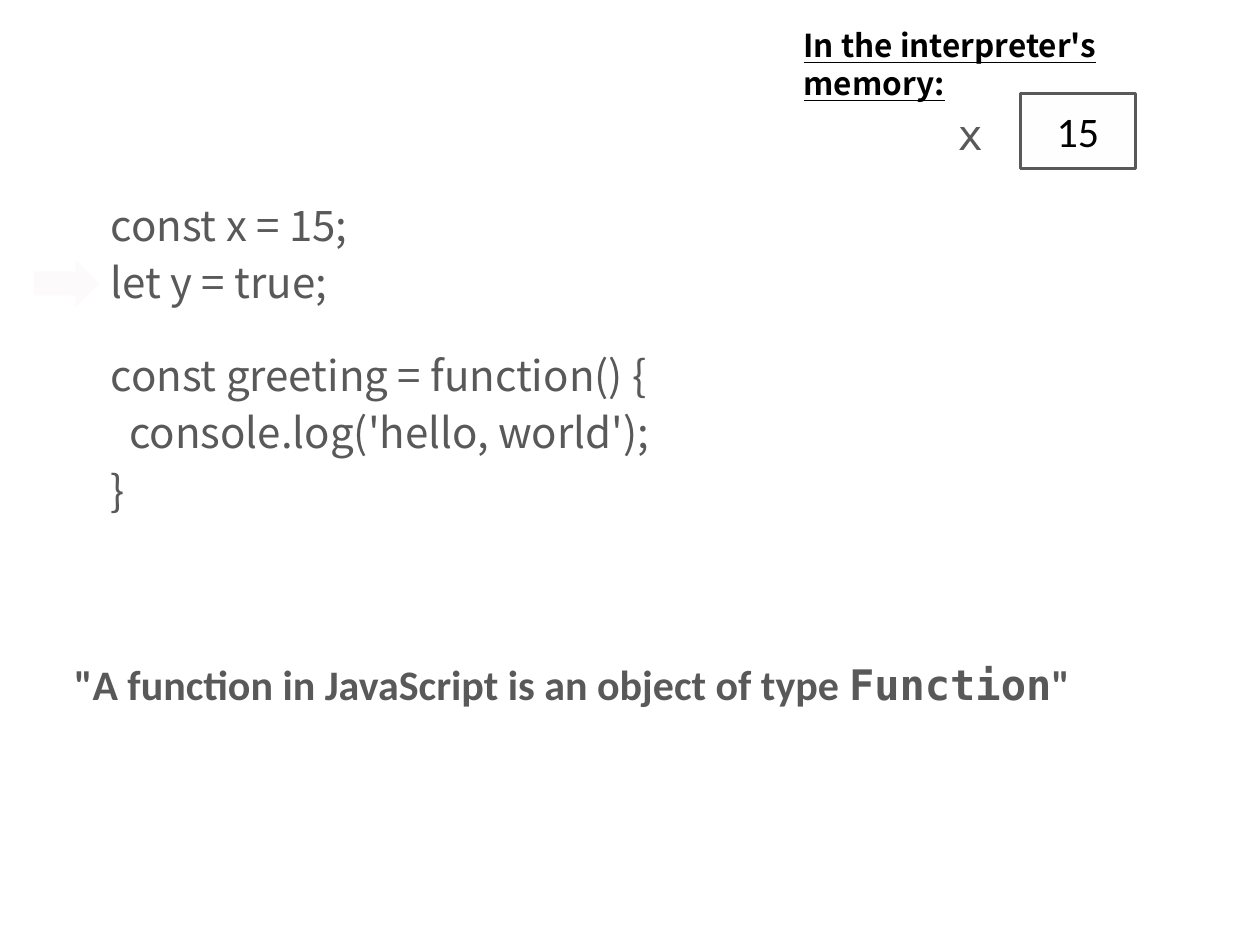
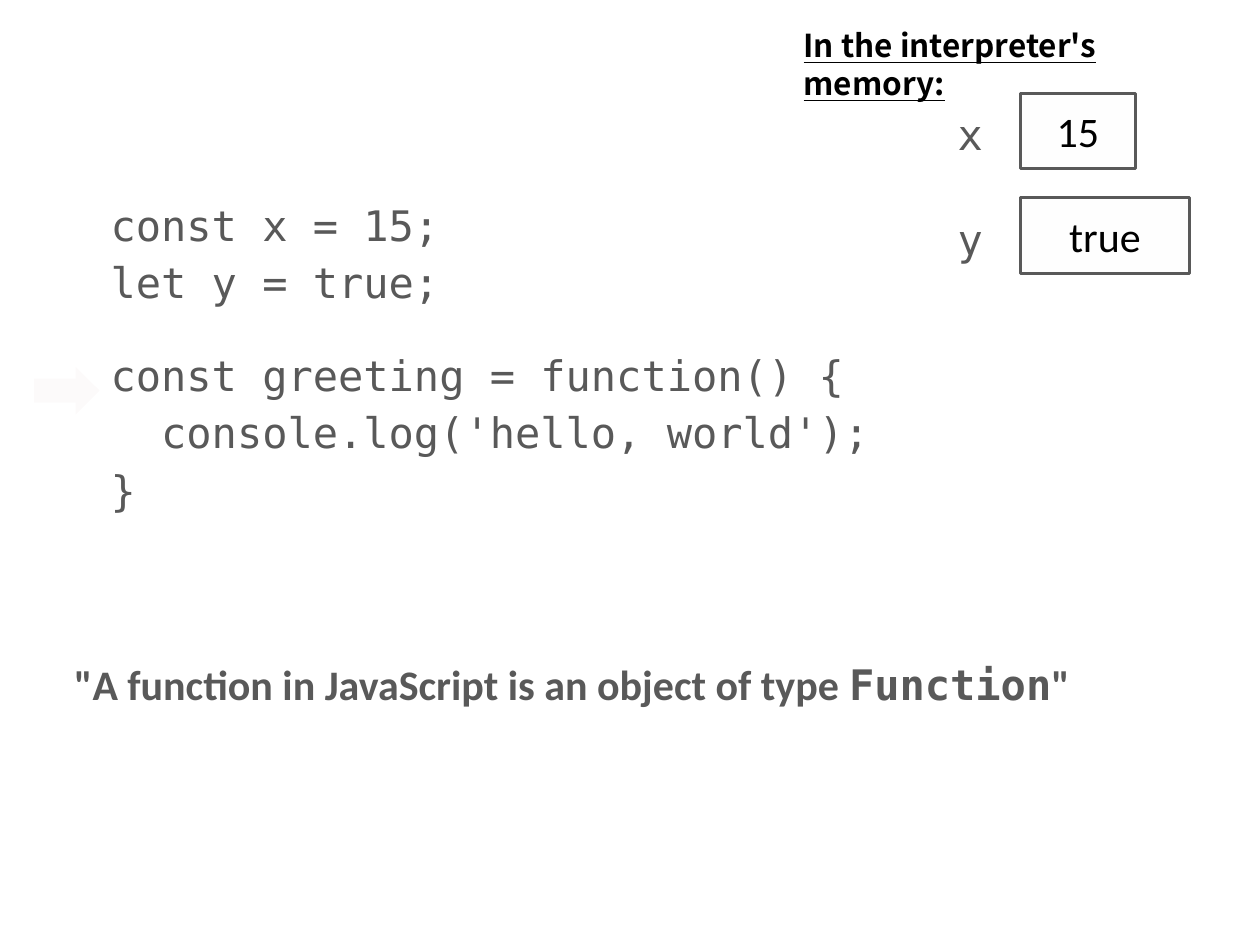
from dataclasses import dataclass

from lxml.etree import SubElement
from pptx import Presentation
from pptx.dml.color import RGBColor
from pptx.enum.shapes import MSO_SHAPE
from pptx.enum.text import MSO_ANCHOR, PP_ALIGN
from pptx.oxml.ns import qn
from pptx.shapes.autoshape import Shape
from pptx.slide import Slide
from pptx.text.text import _Paragraph
from pptx.util import Inches, Pt

GREY = RGBColor(0x59, 0x59, 0x59)
BLACK = RGBColor(0x00, 0x00, 0x00)
ARROW_RED = RGBColor(0x85, 0x20, 0x0C)
BOX_BLUE = RGBColor(0xCF, 0xE2, 0xF3)

BODY_FONT = "Calibri"
MONO_FONT = "DejaVu Sans Mono"
SANS_FONT = "Noto Sans CJK SC"

CODE_SPACING = 1.15
OPACITY_PERCENT = 2
MEMORY_TOP = 0.74
MEMORY_PITCH = 0.83

CODE_BLOCKS = (
    ("const x = 15;", "let y = true;"),
    ("const greeting = function() {", "  console.log('hello, world');", "}"),
)


@dataclass(frozen=True)
class Variable:
    name: str
    value: str
    box_width: float


@dataclass(frozen=True)
class Step:
    arrow_top: float
    code_font: str
    quote_width: float
    variables: tuple[Variable, ...]


X = Variable("x", "15", 0.91)
Y = Variable("y", "true", 1.34)
STEPS = (
    Step(2.06, SANS_FONT, 9.12, (X,)),
    Step(2.91, MONO_FONT, 9.27, (X, Y)),
)


def add_run(paragraph: _Paragraph, text: str, font: str, color: RGBColor = GREY,
            size: float = 24, bold: bool = False, underline: bool = False) -> None:
    run = paragraph.add_run()
    run.text = text
    run.font.name = font
    run.font.size = Pt(size)
    run.font.bold = bold
    run.font.underline = underline
    run.font.color.rgb = color


def prepare_frame(shape: Shape, anchor: MSO_ANCHOR) -> _Paragraph:
    frame = shape.text_frame
    frame.word_wrap = True
    frame.vertical_anchor = anchor
    frame.margin_left = frame.margin_right = Inches(0.1)
    frame.margin_top = frame.margin_bottom = Inches(0.1)
    return frame.paragraphs[0]


def add_text(slide: Slide, left: float, top: float, width: float, height: float,
             anchor: MSO_ANCHOR = MSO_ANCHOR.TOP) -> _Paragraph:
    box = slide.shapes.add_textbox(Inches(left), Inches(top), Inches(width), Inches(height))
    return prepare_frame(box, anchor)


def add_tinted_shape(slide: Slide, kind: MSO_SHAPE, left: float, top: float,
                     width: float, height: float, color: RGBColor) -> Shape:
    shape = slide.shapes.add_shape(kind, Inches(left), Inches(top), Inches(width), Inches(height))
    shape.shadow.inherit = False
    shape.fill.solid()
    shape.fill.fore_color.rgb = color
    tint = shape.fill._xPr.find(qn("a:solidFill"))[0]
    SubElement(tint, qn("a:alpha")).set("val", str(OPACITY_PERCENT * 1000))
    shape.line.fill.background()
    return shape


def add_quote(slide: Slide, width: float) -> None:
    quote = add_text(slide, 0.49, 5.07, width, 2.26)
    quote.line_spacing = CODE_SPACING
    for text, font in (
        ('"A function in JavaScript is an object of type ', BODY_FONT),
        ("Function", MONO_FONT),
        ('"', BODY_FONT),
    ):
        add_run(quote, text, font, bold=True)


def add_memory(slide: Slide, variables: tuple[Variable, ...]) -> None:
    heading = add_text(slide, 6.28, 0.11, 3.54, 0.94)
    add_run(heading, "In the interpreter's memory:", SANS_FONT, BLACK, 18,
            bold=True, underline=True)
    for index, variable in enumerate(variables):
        top = MEMORY_TOP + index * MEMORY_PITCH
        cell = add_tinted_shape(slide, MSO_SHAPE.RECTANGLE, 8.1, top,
                                variable.box_width, 0.6, BOX_BLUE)
        cell.line.color.rgb = GREY
        cell.line.width = Pt(1.5)
        value = prepare_frame(cell, MSO_ANCHOR.MIDDLE)
        value.alignment = PP_ALIGN.CENTER
        add_run(value, variable.value, BODY_FONT, BLACK)

        label = add_text(slide, 6.64, top - 0.12, 1.26, 0.83, MSO_ANCHOR.MIDDLE)
        label.alignment = PP_ALIGN.RIGHT
        label.line_spacing = CODE_SPACING
        add_run(label, variable.name, MONO_FONT)


def add_code(slide: Slide, font: str) -> None:
    line = add_text(slide, 0.78, 1.42, 8.43, 3)
    frame = slide.shapes[-1].text_frame
    for block_index, block in enumerate(CODE_BLOCKS):
        for line_index, text in enumerate(block):
            if block_index or line_index:
                line = frame.add_paragraph()
            if block_index and not line_index:
                line.space_before = Pt(19.5)
            line.line_spacing = CODE_SPACING
            add_run(line, text, font)


def add_step(deck: Presentation, step: Step) -> None:
    slide = deck.slides.add_slide(deck.slide_layouts[6])
    add_tinted_shape(slide, MSO_SHAPE.RIGHT_ARROW, 0.27, step.arrow_top, 0.52, 0.38, ARROW_RED)
    add_quote(slide, step.quote_width)
    add_memory(slide, step.variables)
    add_code(slide, step.code_font)


def main() -> None:
    deck = Presentation()
    deck.slide_width = Inches(10)
    deck.slide_height = Inches(7.5)
    for step in STEPS:
        add_step(deck, step)
    deck.save("out.pptx")


if __name__ == "__main__":
    main()
